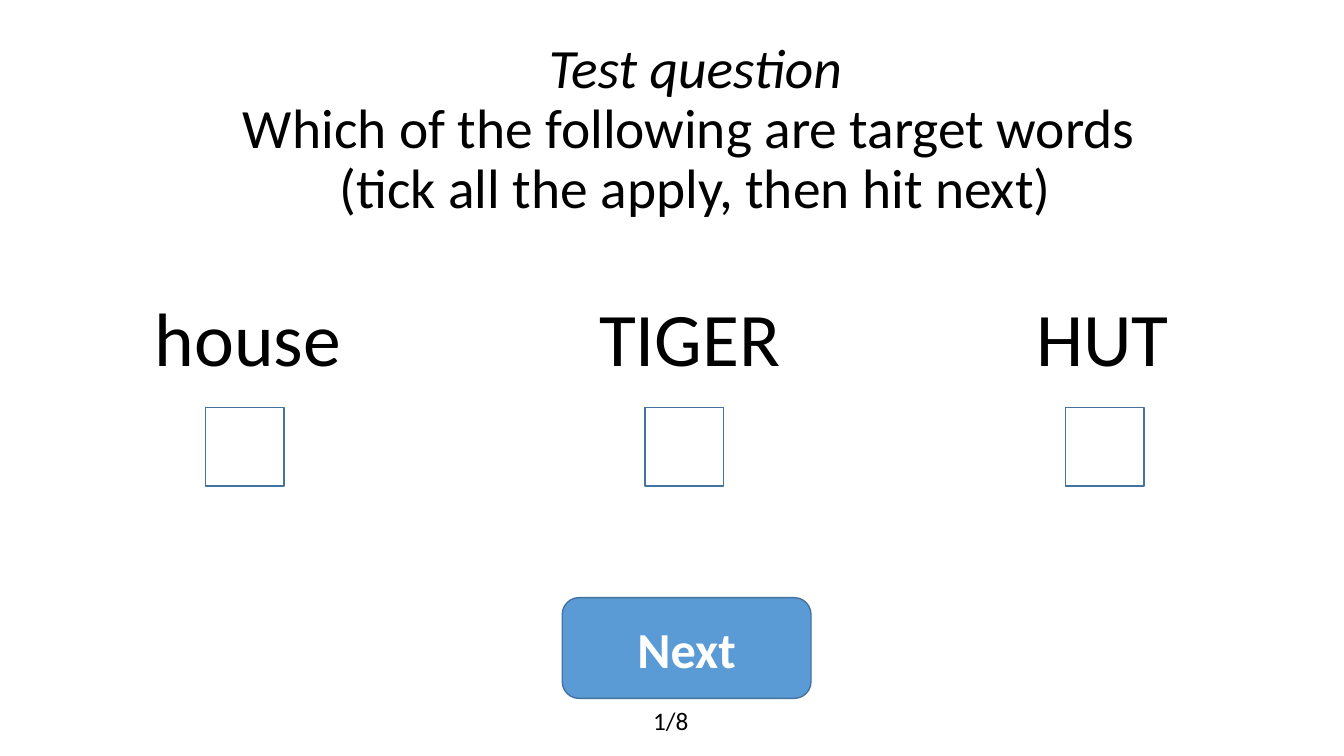
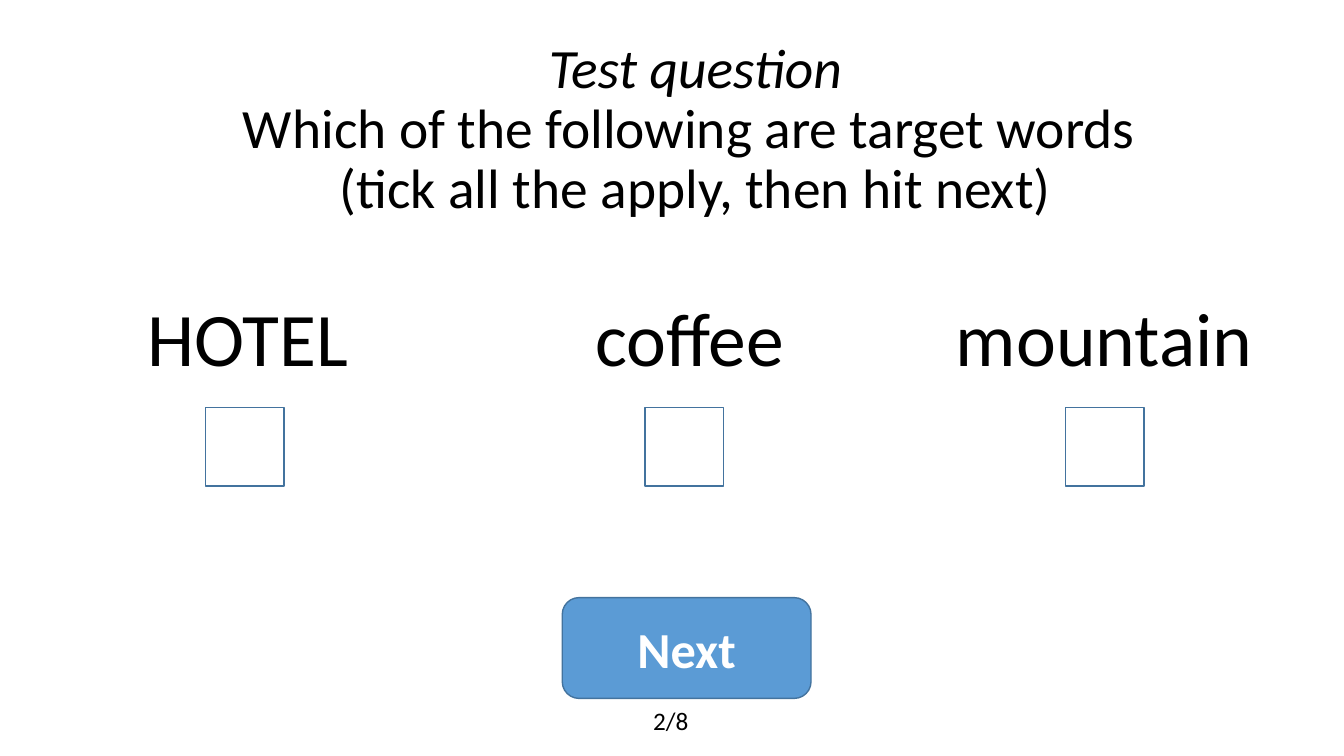
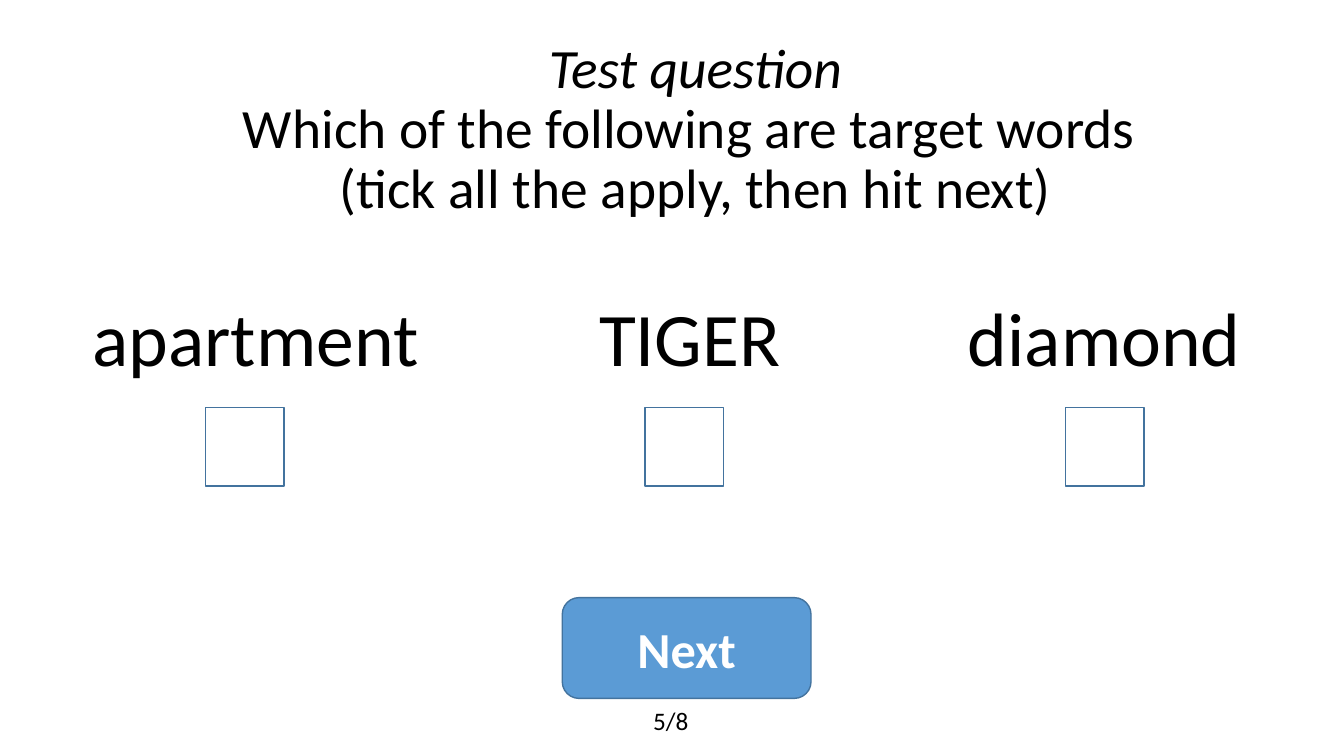
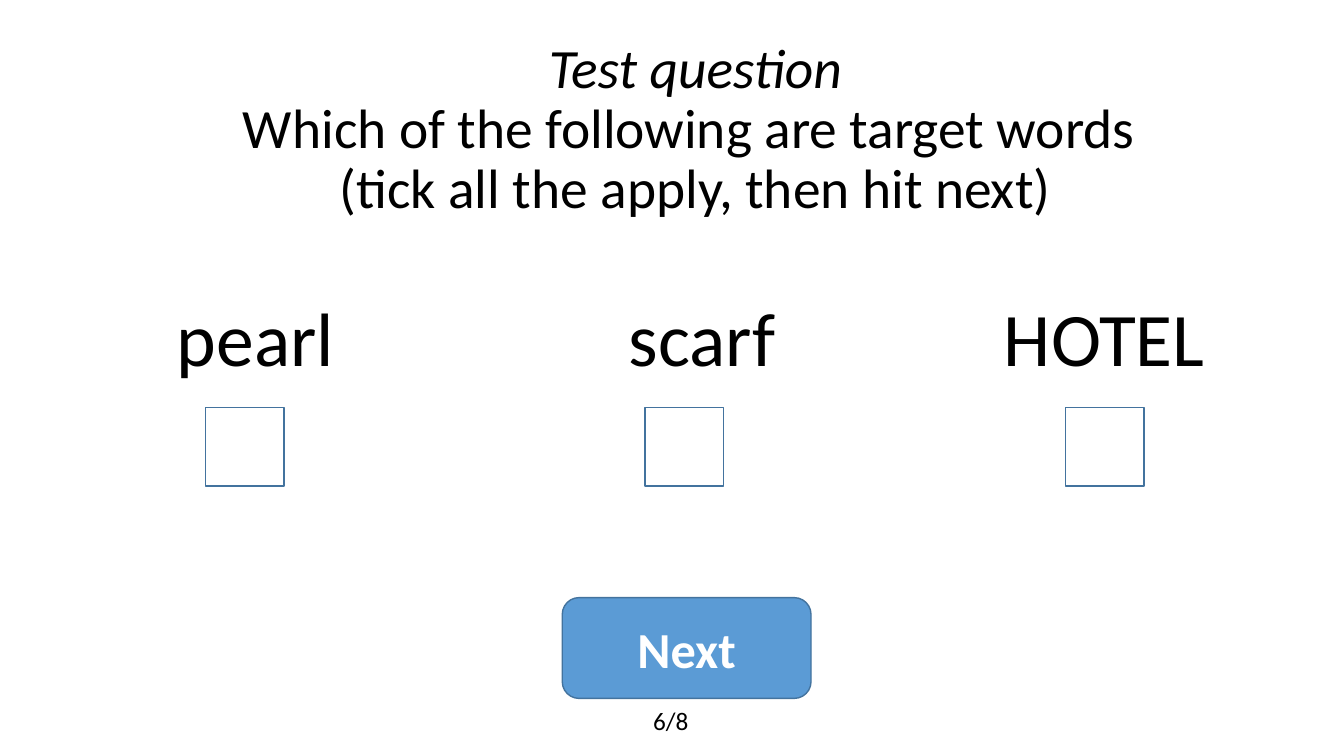
from pptx import Presentation
from pptx.dml.color import RGBColor
from pptx.enum import shapes, text
from pptx.util import Cm, Pt

BLACK = RGBColor(0x00, 0x00, 0x00)
WHITE = RGBColor(0xFF, 0xFF, 0xFF)
BLUE = RGBColor(0x5B, 0x9B, 0xD5)
DARK_BLUE = RGBColor(0x43, 0x73, 0x9E)

# Left edge and width of the word boxes, in cm
LEFT, LEFT_WIDE = (3.4, 5.69), (1.6, 9.68)
MIDDLE, MIDDLE_WIDE = (13.69, 7.39), (13.11, 9.17)
RIGHT, RIGHT_WIDE = (25.32, 4.93), (23.7, 8.26)

QUESTIONS = [
    ("1/8", [("house", LEFT), ("TIGER", MIDDLE), ("HUT", RIGHT)]),
    ("2/8", [("HOTEL", LEFT), ("coffee", MIDDLE), ("mountain", RIGHT_WIDE)]),
    ("5/8", [("apartment", LEFT_WIDE), ("TIGER", MIDDLE), ("diamond", RIGHT_WIDE)]),
    ("6/8", [("pearl", LEFT_WIDE), ("scarf", MIDDLE_WIDE), ("HOTEL", RIGHT_WIDE)]),
]
HEADING = "Test question"
# The space before the break is part of the centred line
INSTRUCTIONS = ["Which of the following are target words ",
                "(tick all the apply, then hit next)"]

TITLE_AREA = (2.92, 1.45, 29.21, 3.68)
BUTTON_AREA = (14.17, 15.06, 6.27, 2.54)
NUMBER_AREA = (16.21, 17.65, 2.57, 1.02)
WORD_TOP, WORD_HEIGHT = 7.21, 2.57
TICK_LEFTS, TICK_TOP, TICK_SIZE = (5.18, 16.26, 26.85), 10.27, 1.98

TITLE_FONT = {"size": Pt(39.6), "bold": False}
WORD_FONT = {"size": Pt(54)}
BUTTON_FONT = {"size": Pt(36), "bold": True}
NUMBER_FONT = {"size": Pt(18)}


def lengths(area):
    return [Cm(value) for value in area]


def add_span(para, words, style, color=BLACK):
    span = para.add_run()
    span.text = words
    for name, value in {"name": "Calibri", **style}.items():
        setattr(span.font, name, value)
    span.font.color.rgb = color


def add_label(page, area, words, style, align):
    frame = page.shapes.add_textbox(*lengths(area)).text_frame
    frame.word_wrap = True
    frame.auto_size = text.MSO_AUTO_SIZE.SHAPE_TO_FIT_TEXT
    para = frame.paragraphs[0]
    para.alignment = align
    add_span(para, words, style)


def add_outlined(page, kind, area):
    shape = page.shapes.add_shape(kind, *lengths(area))
    shape.shadow.inherit = False
    shape.fill.background()
    shape.line.color.rgb = DARK_BLUE
    shape.line.width = Pt(1)
    return shape


def set_title(page):
    title = page.shapes.title
    title.left, title.top, title.width, title.height = lengths(TITLE_AREA)
    frame = title.text_frame
    frame.auto_size = text.MSO_AUTO_SIZE.NONE
    frame.vertical_anchor = text.MSO_ANCHOR.MIDDLE
    para = frame.paragraphs[0]
    para.alignment = text.PP_ALIGN.CENTER
    para.line_spacing = 0.9
    add_span(para, HEADING, {**TITLE_FONT, "italic": True})
    for line in INSTRUCTIONS:
        para.add_line_break()
        add_span(para, line, TITLE_FONT)


def add_button(page):
    button = add_outlined(page, shapes.MSO_SHAPE.ROUNDED_RECTANGLE, BUTTON_AREA)
    button.fill.solid()
    button.fill.fore_color.rgb = BLUE
    button.text_frame.vertical_anchor = text.MSO_ANCHOR.MIDDLE
    para = button.text_frame.paragraphs[0]
    para.alignment = text.PP_ALIGN.CENTER
    add_span(para, "Next", BUTTON_FONT, WHITE)


def add_question(deck, number, choices):
    page = deck.slides.add_slide(deck.slide_layouts.get_by_name("Title Only"))
    set_title(page)
    for (word, (left, width)), tick_left in zip(choices, TICK_LEFTS):
        add_label(page, (left, WORD_TOP, width, WORD_HEIGHT), word,
                  WORD_FONT, text.PP_ALIGN.CENTER)
        add_outlined(page, shapes.MSO_SHAPE.RECTANGLE,
                     (tick_left, TICK_TOP, TICK_SIZE, TICK_SIZE))
    add_button(page)
    add_label(page, NUMBER_AREA, number, NUMBER_FONT, text.PP_ALIGN.LEFT)


def main():
    deck = Presentation()
    deck.slide_width, deck.slide_height = Cm(33.87), Cm(19.05)
    for number, choices in QUESTIONS:
        add_question(deck, number, choices)
    deck.save("out.pptx")


if __name__ == "__main__":
    main()
